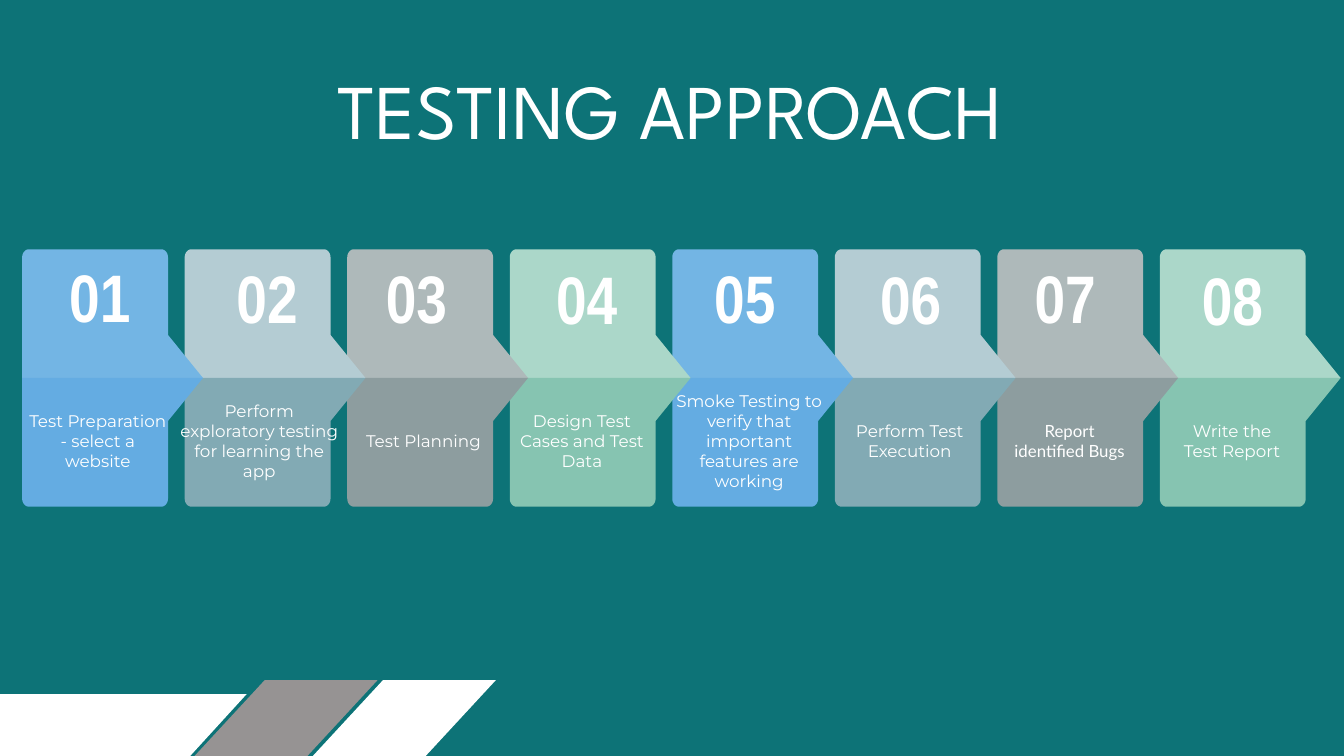
from dataclasses import dataclass
from math import cos, pi, sin

from pptx import Presentation
from pptx.dml.color import RGBColor
from pptx.enum.text import MSO_ANCHOR, PP_ALIGN
from pptx.util import Inches, Pt


@dataclass(frozen=True)
class Theme:
    background: str = "0D7377"
    white: str = "FFFFFF"
    grey: str = "969393"
    # (upper half, lower half) of the cards, repeated along the row
    cards: tuple = (("73B5E4", "64ACE2"), ("B4CCD3", "82AAB4"),
                    ("AEB9BA", "8D9D9F"), ("ABD7C9", "86C4B1"))
    title_font: str = "League Spartan"
    number_font: str = "Arial Narrow"
    label_font: str = "Montserrat"
    accent_font: str = "Lato"
    title_size: int = 83
    number_size: int = 72
    label_size: int = 18


@dataclass(frozen=True)
class Step:
    """Text of a card; lefts and tops are offsets from the card's corner."""
    label: str
    number_left: float
    number_top: float
    number_width: float
    label_left: float
    label_width: float
    font: str


THEME = Theme()
STEPS = [
    Step("Test Preparation - select a website",
         0.35, 0.04, 1.61, 0, 2.25, THEME.label_font),
    Step("Perform exploratory testing for learning the app",
         0.34, 0.06, 1.77, -0.19, 2.6, THEME.label_font),
    Step("Test Planning", 0.01, 0.05, 2.04, 0.17, 1.93, THEME.label_font),
    Step("Design Test Cases and Test Data",
         0.33, 0.07, 1.63, -0.11, 2.37, THEME.label_font),
    Step("Smoke Testing to verify that important features are working",
         0.2, 0.05, 1.76, -0.04, 2.37, THEME.label_font),
    Step("Perform Test Execution",
         0.31, 0.07, 1.64, 0.15, 1.93, THEME.label_font),
    Step("Report identified Bugs",
         0.12, 0.06, 1.78, 0.11, 1.93, THEME.accent_font),
    Step("Write the Test Report",
         0.12, 0.08, 1.92, 0.11, 1.93, THEME.label_font),
]


def add_outline(slide, points, color):
    """Fill the closed outline through points given in inches."""
    start, *rest = [(Inches(x), Inches(y)) for x, y in points]
    builder = slide.shapes.build_freeform(*start)
    builder.add_line_segments(rest, close=True)
    outline = builder.convert_to_shape()
    outline.shadow.inherit = False
    outline.fill.solid()
    outline.fill.fore_color.rgb = RGBColor.from_string(color)
    outline.line.fill.background()


def add_text(slide, box, text, font, size, bold=False,
             anchor=MSO_ANCHOR.TOP, insets=(0.1, 0.05), line_spacing=None):
    frame = slide.shapes.add_textbox(*map(Inches, box)).text_frame
    frame.word_wrap = True
    frame.vertical_anchor = anchor
    frame.margin_left = frame.margin_right = Inches(insets[0])
    frame.margin_top = frame.margin_bottom = Inches(insets[1])
    paragraph = frame.paragraphs[0]
    paragraph.text = text
    paragraph.alignment = PP_ALIGN.CENTER
    paragraph.line_spacing = line_spacing
    paragraph.font.name = font
    paragraph.font.size = Pt(size)
    paragraph.font.bold = bold
    paragraph.font.color.rgb = RGBColor.from_string(THEME.white)


def half_card_points(left, middle, width, height, direction):
    """Half of an arrow card; direction is -1 above the middle, 1 below."""
    body, notch = width - 0.52, 0.64
    radius_x, radius_y = 0.1, 0.12
    angles = [pi / 2 * step / 8 for step in range(9)]
    corner = [(radius_x * (1 - cos(a)), height - radius_y * (1 - sin(a)))
              for a in angles]
    far_corner = [(body - x, y) for x, y in reversed(corner)]
    points = [(0, 0), *corner, *far_corner, (body, notch), (width, 0)]
    return [(left + x, middle + direction * y) for x, y in points]


def add_card(slide, box, colors):
    left, top, width, height = box
    half = height / 2
    for direction, color in zip((-1, 1), colors):
        add_outline(slide, half_card_points(left, top + half, width, half,
                                            direction), color)


def add_steps(slide, box):
    """Row of arrow cards, each pointing over the next one."""
    left, top, width, height = box
    card_width = 2.69
    pitch = (width - card_width) / (len(STEPS) - 1)
    lefts = [left + pitch * index for index in range(len(STEPS))]
    for index in reversed(range(len(STEPS))):
        add_card(slide, (lefts[index], top, card_width, height),
                 THEME.cards[index % len(THEME.cards)])
    for number, (card_left, step) in enumerate(zip(lefts, STEPS), start=1):
        add_text(slide, (card_left + step.number_left, top + step.number_top,
                         step.number_width, 1.15),
                 f"{number:02}", THEME.number_font, THEME.number_size, bold=True)
        add_text(slide, (card_left + step.label_left, top + 2.6,
                         step.label_width, 0.5),
                 step.label, step.font, THEME.label_size,
                 anchor=MSO_ANCHOR.MIDDLE, insets=(0.1, 0.1))


def add_stripe(slide, box, slant, color):
    left, top, width, height = box
    right, bottom = left + width, top + height
    add_outline(slide, [(left + slant, top), (right, top),
                        (right - slant, bottom), (left, bottom)], color)


def add_footer_stripes(slide, box):
    left, top, width, height = box
    stripe_width, slant = 2.91, 1.23
    add_stripe(slide, (left, top + 0.21, 4.8, 0.92), 0.84, THEME.white)
    last_left = left + width - stripe_width
    for stripe_left, color in ((last_left - 1.76, THEME.grey),
                               (last_left, THEME.white)):
        add_stripe(slide, (stripe_left, top, stripe_width, height), slant, color)


def add_title(slide, box):
    add_text(slide, box, "TESTING APPROACH", THEME.title_font,
             THEME.title_size, insets=(0, 0),
             line_spacing=Pt(THEME.title_size))


def main():
    deck = Presentation()
    deck.slide_width, deck.slide_height = Inches(20), Inches(11.25)
    slide = deck.slides.add_slide(deck.slide_layouts[6])
    slide.background.fill.solid()
    slide.background.fill.fore_color.rgb = RGBColor.from_string(THEME.background)
    add_footer_stripes(slide, (-1.13, 10.12, 8.51, 1.33))
    add_steps(slide, (0.33, 3.71, 19.62, 3.83))
    add_title(slide, (3.2, 1.15, 13.55, 1.22))
    deck.save("out.pptx")


if __name__ == "__main__":
    main()
